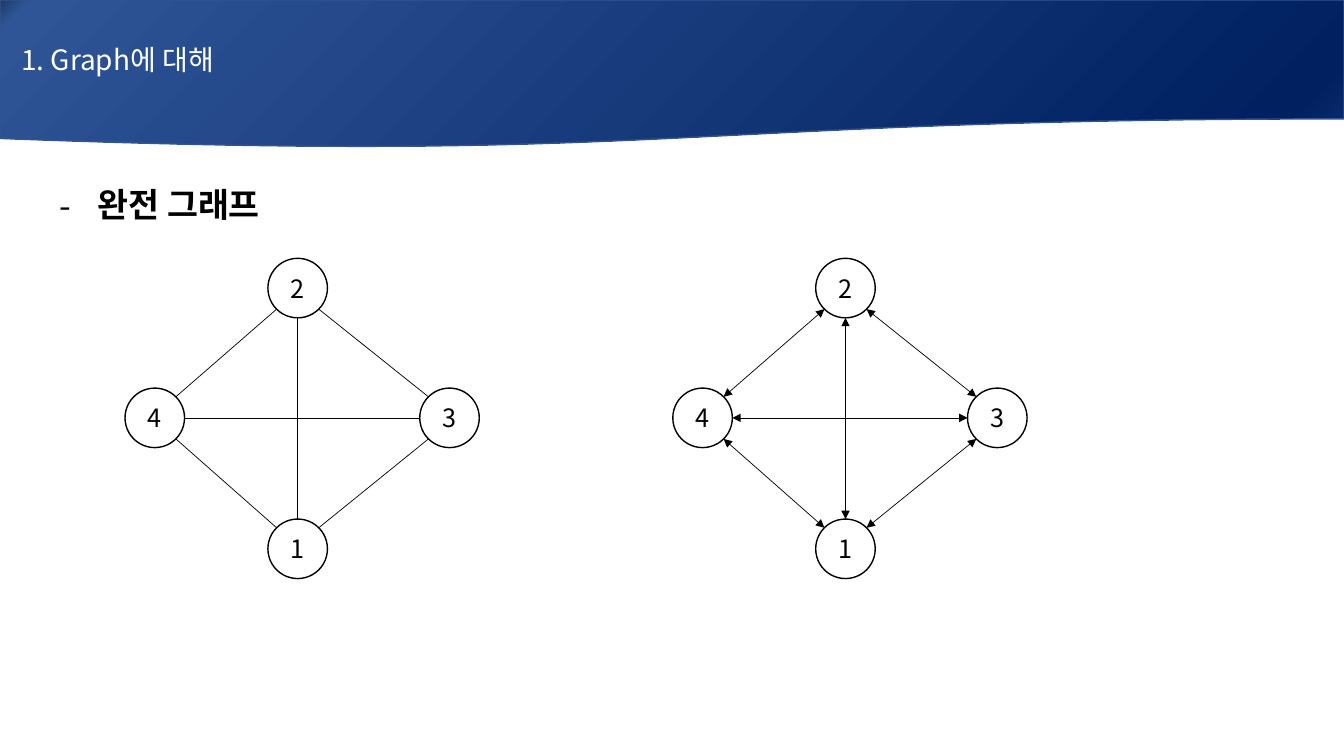
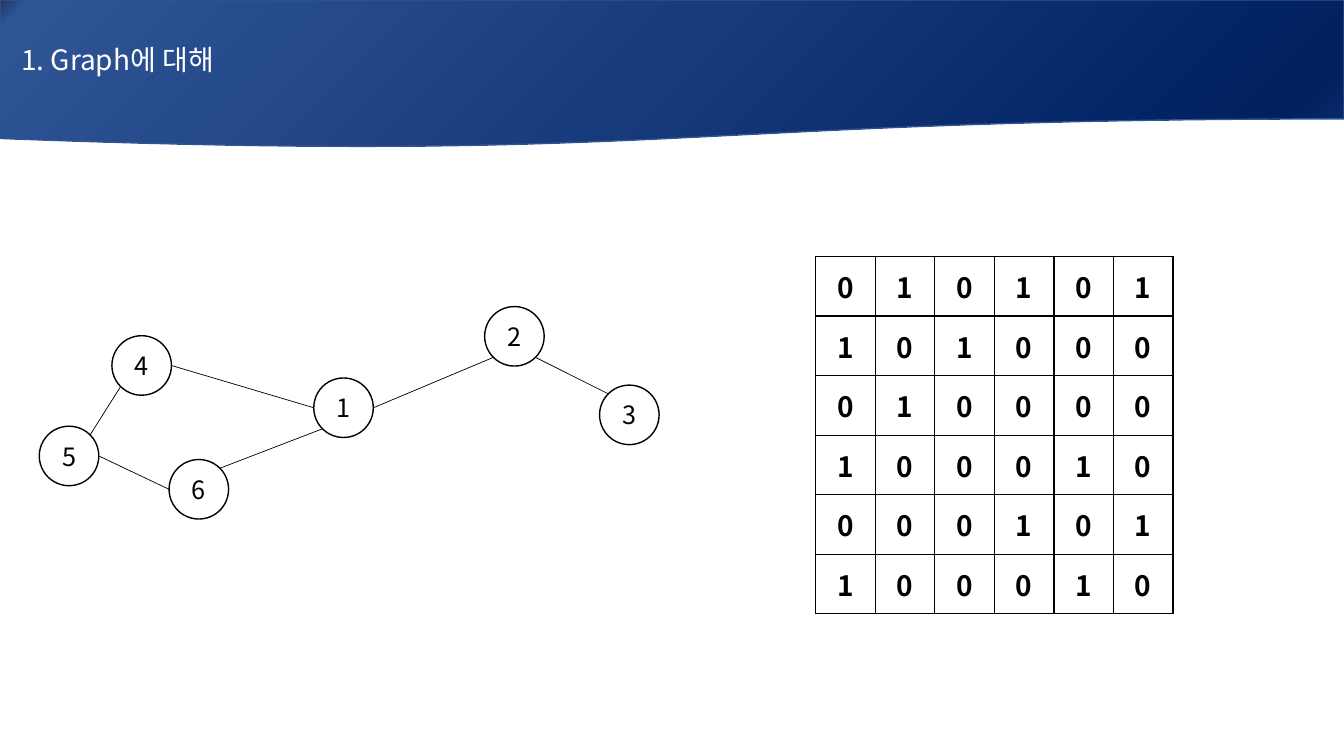
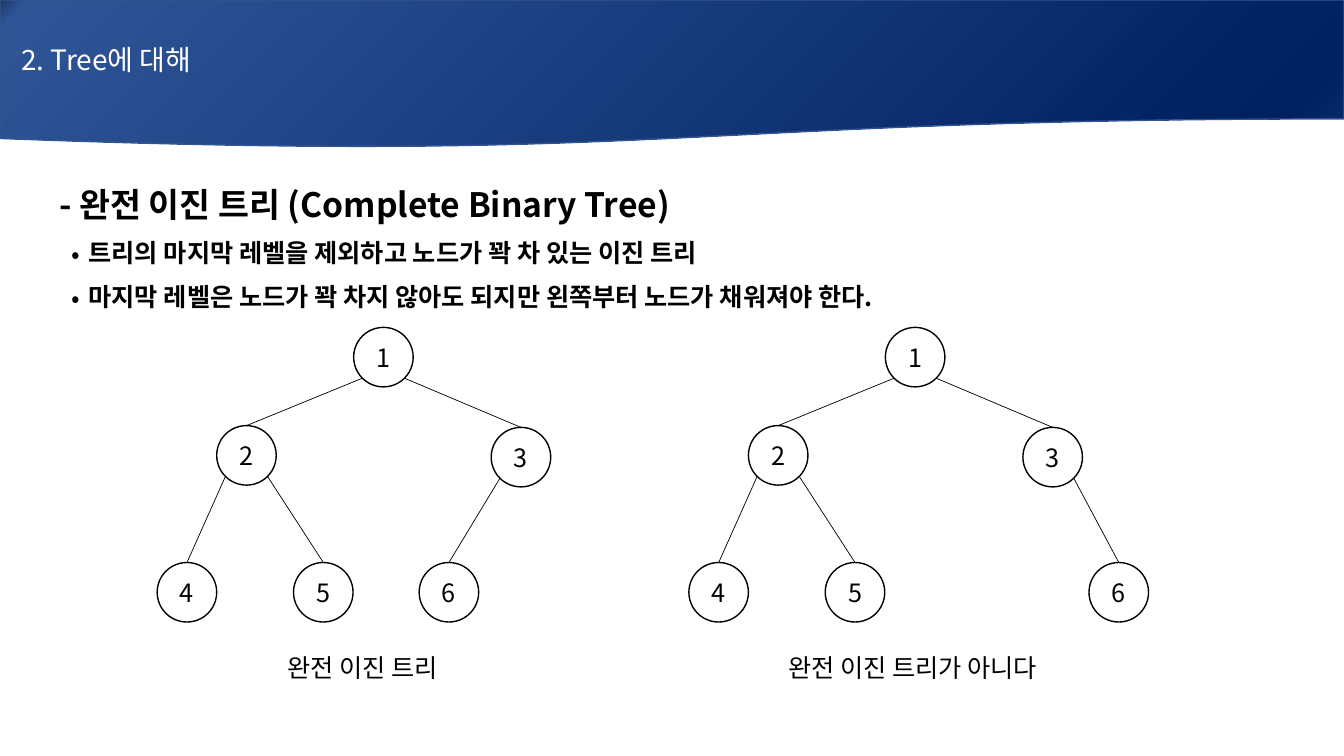
from dataclasses import dataclass, field
from math import sqrt
from typing import NamedTuple

from lxml.etree import SubElement
from pptx import Presentation
from pptx.dml.color import RGBColor
from pptx.enum.shapes import MSO_CONNECTOR, MSO_SHAPE
from pptx.enum.text import MSO_ANCHOR, PP_ALIGN
from pptx.oxml.ns import qn
from pptx.slide import Slide
from pptx.util import Cm, Inches, Pt


# Theme: colours, type sizes and line widths
@dataclass(frozen=True)
class Theme:
    font: str = "Noto Sans CJK KR"
    ink: str = "000000"
    paper: str = "FFFFFF"
    band_line: str = "325491"
    band_stops: tuple = ((0, "203864"), (2, "2F5597"), (94, "002060"), (100, "0D2E6F"))
    heading: int = 24
    title: int = 20
    body: int = 18
    outline: float = 1
    edge: float = 0.5


THEME = Theme()

# Grid: one square cell is the size of a node and of a matrix entry
CELL = Cm(1.5)
SLIDE_WIDTH, SLIDE_HEIGHT = Inches(13.33), Inches(7.5)
BAND_ROWS = 2.49
TEXT_COLUMN, TEXT_ROW, TEXT_COLUMNS = 0.83, 2.96, 21.75
CAPTION_ROW, CAPTION_COLUMNS, CAPTION_ROWS = 10.87, 6.42, 0.68

# Points on a node's rim, as directions from its centre
DIAGONAL = 1 / sqrt(2)
RIM = {
    "N": (0, -1), "E": (1, 0), "S": (0, 1), "W": (-1, 0),
    "NE": (DIAGONAL, -DIAGONAL), "SE": (DIAGONAL, DIAGONAL),
    "SW": (-DIAGONAL, DIAGONAL), "NW": (-DIAGONAL, -DIAGONAL),
}


class Edge(NamedTuple):
    start: int
    start_side: str
    end: int
    end_side: str


@dataclass(frozen=True)
class Graph:
    """Nodes map a label to its centre (column, row)."""
    nodes: dict[int, tuple[float, float]]
    edges: list[Edge]
    shift: float = 0
    arrows: bool = False


@dataclass(frozen=True)
class Line:
    text: str
    size: int = THEME.body
    bold: bool = True
    bullet: str = ""
    indent: tuple[float, float] = field(default=(0, 0))  # left, first line (inches)


def grid(cells: float) -> int:
    return round(cells * CELL)


def colour(code: str) -> RGBColor:
    return RGBColor.from_string(code)


def style_text(para, size: int, code: str = THEME.ink, bold: bool = False) -> None:
    for span in para.runs:
        span.font.size, span.font.bold = Pt(size), bold
        span.font.color.rgb = colour(code)
        span.font.name = THEME.font
        SubElement(span.font._element, qn("a:ea"), typeface=THEME.font)


# Shared title band
def add_band(page: Slide, title: str) -> None:
    band = page.shapes.add_shape(
        MSO_SHAPE.FLOWCHART_DOCUMENT, 0, 0, SLIDE_WIDTH, grid(BAND_ROWS))
    band.shadow.inherit = False
    band.fill.gradient()
    band.fill.gradient_angle = 315
    stops = band._element.spPr.find(qn("a:gradFill")).find(qn("a:gsLst"))
    for stop in list(stops):
        stops.remove(stop)
    for position, code in THEME.band_stops:
        stop = SubElement(stops, qn("a:gs"), pos=str(position * 1000))
        SubElement(stop, qn("a:srgbClr"), val=code)
    band.line.color.rgb = colour(THEME.band_line)
    band.line.width = Pt(THEME.outline)
    frame = band.text_frame
    frame.text = title
    frame.margin_left = Inches(0.21)
    frame.vertical_anchor = MSO_ANCHOR.MIDDLE
    frame.paragraphs[0].alignment = PP_ALIGN.LEFT
    style_text(frame.paragraphs[0], THEME.title, THEME.paper)


# Text boxes
def add_box(page: Slide, column: float, row: float, columns: float, rows: float):
    box = page.shapes.add_textbox(*map(grid, (column, row, columns, rows)))
    box.text_frame.word_wrap = True
    return box.text_frame


def add_bullet(para, line: Line) -> None:
    left, first = line.indent
    properties = para._p.get_or_add_pPr()
    properties.set("marL", str(Inches(left)))
    properties.set("indent", str(Inches(first)))
    SubElement(properties, qn("a:buFont"), typeface=THEME.font)
    SubElement(properties, qn("a:buChar"), char=line.bullet)


def add_lines(page: Slide, lines: list[Line], rows: float) -> None:
    frame = add_box(page, TEXT_COLUMN, TEXT_ROW, TEXT_COLUMNS, rows)
    for index, line in enumerate(lines):
        para = frame.add_paragraph() if index else frame.paragraphs[0]
        para.text = line.text
        para.alignment = PP_ALIGN.JUSTIFY
        para.line_spacing, para.space_after = 1.07, Pt(8)
        if line.bullet:
            add_bullet(para, line)
        style_text(para, line.size, bold=line.bold)


def add_caption(page: Slide, text: str, column: float) -> None:
    frame = add_box(page, column, CAPTION_ROW, CAPTION_COLUMNS, CAPTION_ROWS)
    frame.text = text
    style_text(frame.paragraphs[0], THEME.body)


# Graphs
def add_node(page: Slide, label: int, column: float, row: float) -> None:
    node = page.shapes.add_shape(
        MSO_SHAPE.OVAL, grid(column - 0.5), grid(row - 0.5), CELL, CELL)
    node.shadow.inherit = False
    node.fill.solid()
    node.fill.fore_color.rgb = colour(THEME.paper)
    node.line.color.rgb = colour(THEME.ink)
    node.line.width = Pt(THEME.outline)
    frame = node.text_frame
    frame.text = str(label)
    frame.margin_left = frame.margin_right = 0
    frame.margin_top = frame.margin_bottom = 0
    frame.vertical_anchor = MSO_ANCHOR.MIDDLE
    frame.paragraphs[0].alignment = PP_ALIGN.CENTER
    style_text(frame.paragraphs[0], THEME.body)


def add_edge(page: Slide, graph: Graph, edge: Edge) -> None:
    def rim_point(label: int, side: str) -> tuple[int, int]:
        (column, row), (across, down) = graph.nodes[label], RIM[side]
        return grid(column + graph.shift + across / 2), grid(row + down / 2)

    link = page.shapes.add_connector(
        MSO_CONNECTOR.STRAIGHT,
        *rim_point(edge.start, edge.start_side), *rim_point(edge.end, edge.end_side))
    link.line.color.rgb = colour(THEME.ink)
    link.line.width = Pt(THEME.edge)
    SubElement(link._element.spPr, qn("a:effectLst"))
    if graph.arrows:
        for tip in ("a:headEnd", "a:tailEnd"):
            SubElement(link.line._get_or_add_ln(), qn(tip), type="triangle")


def add_graph(page: Slide, graph: Graph) -> None:
    for label, (column, row) in graph.nodes.items():
        add_node(page, label, column + graph.shift, row)
    for edge in graph.edges:
        add_edge(page, graph, edge)


# Adjacency matrix
def add_borders(cell) -> None:
    properties = cell._tc.get_or_add_tcPr()
    for index, side in enumerate(("a:lnL", "a:lnR", "a:lnT", "a:lnB")):
        border = SubElement(properties, qn(side), w=str(Pt(THEME.outline)))
        fill = SubElement(border, qn("a:solidFill"))
        SubElement(fill, qn("a:srgbClr"), val=THEME.ink)
        properties.insert(index, border)


def add_matrix(page: Slide, rows: list[str], column: float, row: float) -> None:
    size = len(rows)
    table = page.shapes.add_table(
        size, size, grid(column), grid(row), grid(size), grid(size)).table
    table.first_row = table.horz_banding = False
    for track in (*table.columns,):
        track.width = CELL
    for track in table.rows:
        track.height = CELL
    for cell, digit in zip(table.iter_cells(), "".join(rows)):
        cell.text = digit
        cell.vertical_anchor = MSO_ANCHOR.MIDDLE
        cell.fill.solid()
        cell.fill.fore_color.rgb = colour(THEME.paper)
        add_borders(cell)
        para = cell.text_frame.paragraphs[0]
        para.alignment = PP_ALIGN.CENTER
        style_text(para, THEME.title, bold=True)


# Slide content
GRAPH_TITLE = "1. Graph에 대해"
TREE_TITLE = "2. Tree에 대해"

COMPLETE_NODES = {4: (2.6, 7.02), 1: (5, 9.22), 3: (7.55, 7.02), 2: (5, 4.84)}
COMPLETE_EDGES = [
    Edge(4, "NE", 2, "SW"), Edge(2, "SE", 3, "NW"), Edge(2, "S", 1, "N"),
    Edge(1, "NE", 3, "SW"), Edge(4, "SE", 1, "NW"), Edge(4, "E", 3, "W"),
]

CYCLE = Graph(
    {4: (2.38, 6.14), 1: (5.77, 6.85), 3: (10.57, 6.97),
     2: (8.64, 5.65), 6: (3.34, 8.22), 5: (1.16, 7.66)},
    [Edge(5, "NE", 4, "SW"), Edge(5, "E", 6, "W"), Edge(6, "NE", 1, "SW"),
     Edge(4, "E", 1, "W"), Edge(1, "E", 2, "SW"), Edge(2, "SE", 3, "NW")])
MATRIX = ["010101", "101000", "010000", "100010", "000101", "100010"]

LEAF_ROW = 9.95
TREE_NODES = {4: (3.14, LEAF_ROW), 1: (6.44, 6), 3: (8.75, 7.68),
              2: (4.14, 7.65), 5: (5.43, LEAF_ROW)}
TREE_EDGES = [Edge(5, "N", 2, "SE"), Edge(4, "N", 2, "SW"),
              Edge(1, "SW", 2, "N"), Edge(1, "SE", 3, "N")]


def tree(last_column: float, last_side: str, shift: float = 0) -> Graph:
    return Graph({**TREE_NODES, 6: (last_column, LEAF_ROW)},
                 [*TREE_EDGES, Edge(6, "N", 3, last_side)], shift)


def main() -> None:
    deck = Presentation()
    deck.slide_width, deck.slide_height = SLIDE_WIDTH, SLIDE_HEIGHT

    def add_page(title: str) -> Slide:
        page = deck.slides.add_slide(deck.slide_layouts[6])
        add_band(page, title)
        return page

    # Complete graphs, undirected and directed
    page = add_page(GRAPH_TITLE)
    add_lines(page, [Line("완전 그래프", THEME.heading, bullet="-", indent=(0.38, -0.38))], 1.76)
    add_graph(page, Graph(COMPLETE_NODES, COMPLETE_EDGES))
    add_graph(page, Graph(COMPLETE_NODES, COMPLETE_EDGES, shift=9.2, arrows=True))

    # Graph and its adjacency matrix
    page = add_page(GRAPH_TITLE)
    add_graph(page, CYCLE)
    add_matrix(page, MATRIX, 13.7, 4.31)

    # Complete binary tree and a counterexample
    page = add_page(TREE_TITLE)
    point = {"bullet": "•", "indent": (0.29, -0.17)}
    add_lines(page, [
        Line("- 완전 이진 트리 (Complete Binary Tree)", THEME.heading),
        Line("트리의 마지막 레벨을 제외하고 노드가 꽉 차 있는 이진 트리", **point),
        Line("마지막 레벨은 노드가 꽉 차지 않아도 되지만 왼쪽부터 노드가 채워져야 한다.", **point),
    ], 3.08)
    add_graph(page, tree(7.54, "SW"))
    add_graph(page, tree(9.86, "SE", shift=8.93))
    add_caption(page, "완전 이진 트리", 4.66)
    add_caption(page, "완전 이진 트리가 아니다", 13.07)

    deck.save("out.pptx")


if __name__ == "__main__":
    main()
